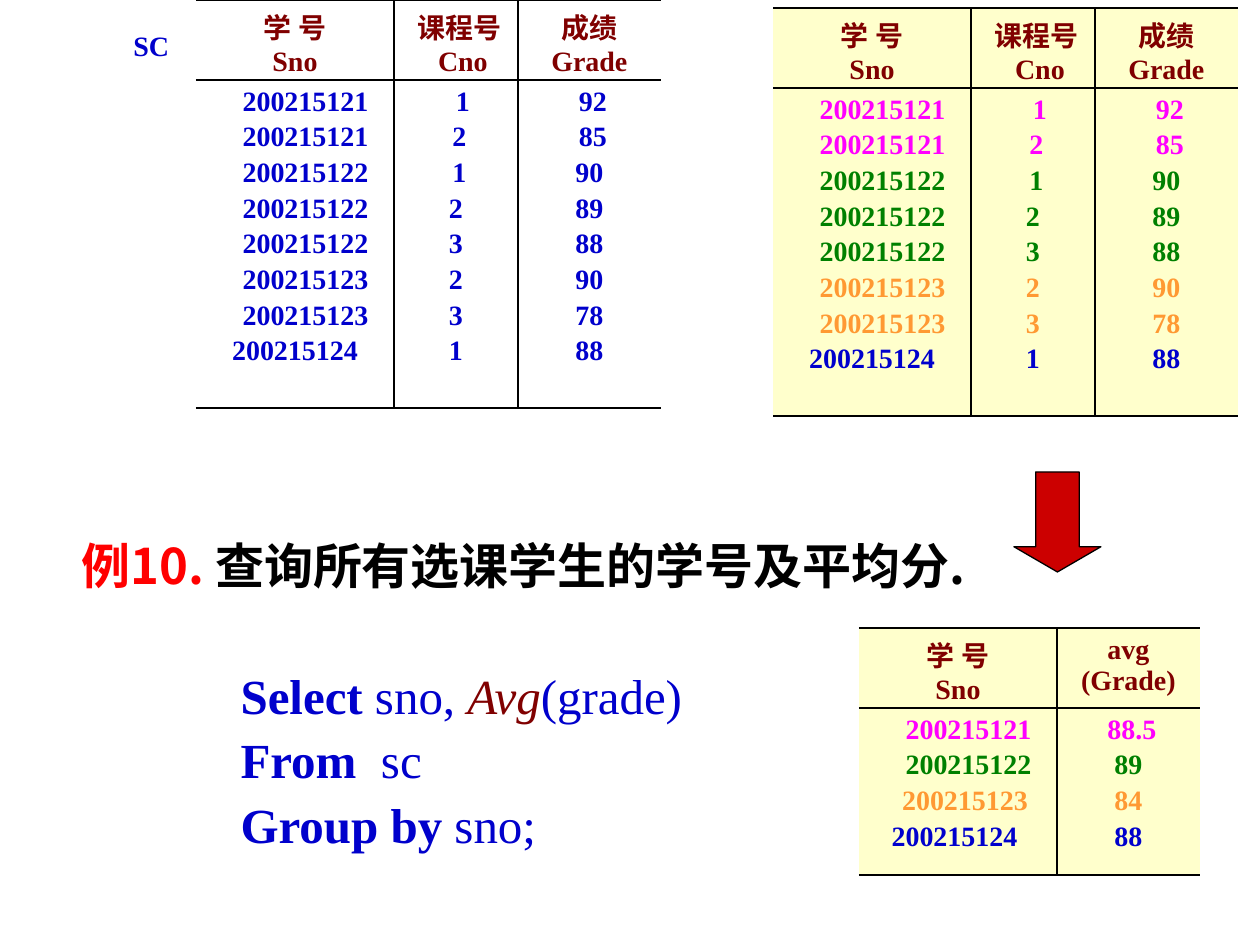
from dataclasses import dataclass

from lxml import etree
from pptx import Presentation
from pptx.dml.color import RGBColor
from pptx.enum.shapes import MSO_SHAPE
from pptx.enum.text import MSO_ANCHOR, MSO_AUTO_SIZE, PP_ALIGN
from pptx.oxml.ns import qn
from pptx.util import Emu, Pt

PX = 7257.6  # EMU per px, 126 px to the inch


@dataclass(frozen=True)
class Theme:
    latin: str = "Times New Roman"
    cjk: str = "Noto Sans CJK JP"
    heading_size: int = 28
    table_size: int = 16
    line_pitch: int = 37
    row_gap: float = 2.6
    black: str = "000000"
    red: str = "FF0000"
    blue: str = "0000CC"
    maroon: str = "800000"
    magenta: str = "FF00FF"
    green: str = "008000"
    orange: str = "FF9933"
    cream: str = "FFFFCC"
    arrow: str = "CC0000"


THEME = Theme()

# Text, colour, bold, italic
HEADING = [[("例10. ", THEME.red, True, False),
            ("查询所有选课学生的学号及平均分.", THEME.black, True, False)]]
QUERY = [
    [("Select", THEME.blue, True, False), (" sno, ", THEME.blue, False, False),
     ("Avg", THEME.maroon, False, True), ("(grade)", THEME.blue, False, False)],
    [("From", THEME.blue, True, False), ("  sc", THEME.blue, False, False)],
    [("Group by", THEME.blue, True, False), (" sno;", THEME.blue, False, False)],
]

# Each column: width, header lines, values, and their steps off centre
SNO_HEADER = [("学 号", 0), ("Sno", 0)]
SC_COLUMNS = [
    (198, SNO_HEADER,
     [("200215121", 3), ("200215121", 3), ("200215122", 3), ("200215122", 3),
      ("200215122", 3), ("200215123", 3), ("200215123", 3), ("200215124", 0)]),
    (124, [("课程号", 1), ("Cno", 2)],
     [("1", 2), ("2", 1), ("1", 1), ("2", 0), ("3", 0), ("2", 0), ("3", 0), ("1", 0)]),
    (143, [("成绩", 0), ("Grade", 0)],
     [("92", 1), ("85", 1), ("90", 0), ("89", 0), ("88", 0), ("90", 0), ("78", 0), ("88", 0)]),
]
AVERAGE_COLUMNS = [
    (198, SNO_HEADER,
     [("200215121", 3), ("200215122", 3), ("200215123", 2), ("200215124", -1)]),
    (143, [("avg", 0), ("(Grade)", 0)],
     [("88.5", 1), ("89", 0), ("84", 0), ("88", 0)]),
]
STUDENT_COLOURS = [THEME.magenta, THEME.green, THEME.orange, THEME.blue]
GROUP_SIZES = [2, 3, 2, 1]
GROUPED_COLOURS = [colour for colour, size in zip(STUDENT_COLOURS, GROUP_SIZES)
                   for _ in range(size)]

# Left, top, columns, value colours, fill, height of the value row
TABLES = [
    (196, 0, SC_COLUMNS, [THEME.blue] * 8, None, 328),
    (773, 8, SC_COLUMNS, GROUPED_COLOURS, THEME.cream, 328),
    (859, 628, AVERAGE_COLUMNS, STUDENT_COLOURS, THEME.cream, 167),
]
HEADER_HEIGHT = 80
SHIFT_STEP = 7


def px(length):
    return Emu(round(length * PX))


def place(part, left, top, width, height):
    part.left, part.top, part.width, part.height = map(px, (left, top, width, height))


def style(run, size, colour, bold=True, italic=False, latin=THEME.latin):
    font = run.font
    font.size, font.bold, font.italic, font.name = Pt(size), bold, italic, latin
    font.color.rgb = RGBColor.from_string(colour)
    east_asian = etree.Element(qn("a:ea"), typeface=THEME.cjk)
    run._r.rPr.find(qn("a:latin")).addnext(east_asian)


def write_lines(placeholder, lines, latin):
    frame = placeholder.text_frame
    frame.word_wrap, frame.auto_size = True, MSO_AUTO_SIZE.NONE
    frame.vertical_anchor = MSO_ANCHOR.TOP
    frame.text = "\n".join("".join(part[0] for part in line) for line in lines)
    for paragraph, line in zip(frame.paragraphs, lines):
        paragraph.text = ""
        paragraph.alignment = PP_ALIGN.LEFT
        paragraph.line_spacing = Pt(THEME.line_pitch)
        paragraph.space_before = Pt(0)
        properties = paragraph._p.get_or_add_pPr()
        properties.set("marL", "0")
        properties.set("indent", "0")
        etree.SubElement(properties, qn("a:buNone"))
        for text, colour, bold, italic in line:
            run = paragraph.add_run()
            run.text = text
            style(run, THEME.heading_size, colour, bold, italic, latin)


def set_borders(cell, first, last):
    """Rule every side except the table's outer left and right."""
    properties = cell._tc.get_or_add_tcPr()
    sides = [("a:lnL", not first), ("a:lnR", not last), ("a:lnT", True), ("a:lnB", True)]
    for position, (side, ruled) in enumerate(sides):
        border = etree.Element(qn(side), w=str(Pt(1)))
        properties.insert(position, border)
        if ruled:
            fill = etree.SubElement(border, qn("a:solidFill"))
            etree.SubElement(fill, qn("a:srgbClr"), val=THEME.black)
        else:
            etree.SubElement(border, qn("a:noFill"))


def fill_cell(cell, entries, colours, gap):
    frame = cell.text_frame
    frame.text = "\n".join(text for text, _ in entries)
    for paragraph, (_, shift), colour in zip(frame.paragraphs, entries, colours):
        paragraph.alignment = PP_ALIGN.CENTER
        paragraph.space_before = Pt(gap)
        if shift:
            margin = "marL" if shift > 0 else "marR"
            paragraph._p.get_or_add_pPr().set(margin, str(px(abs(shift) * SHIFT_STEP)))
        style(paragraph.runs[0], THEME.table_size, colour)


def add_grade_table(slide, left, top, columns, colours, fill, body_height):
    width = sum(column[0] for column in columns)
    table = slide.shapes.add_table(2, len(columns), px(left), px(top), px(width),
                                   px(HEADER_HEIGHT + body_height)).table
    table.first_row = table.horz_banding = False
    table.rows[0].height, table.rows[1].height = px(HEADER_HEIGHT), px(body_height)
    for index, (column_width, header, values) in enumerate(columns):
        table.columns[index].width = px(column_width)
        header_cell, value_cell = table.cell(0, index), table.cell(1, index)
        header_cell.margin_bottom = 0
        fill_cell(header_cell, header, [THEME.maroon] * 2, 0)
        fill_cell(value_cell, values, colours, THEME.row_gap)
        for cell in (header_cell, value_cell):
            if fill:
                cell.fill.solid()
                cell.fill.fore_color.rgb = RGBColor.from_string(fill)
            else:
                cell.fill.background()
            set_borders(cell, index == 0, index == len(columns) - 1)


def main():
    deck = Presentation()
    deck.slide_width, deck.slide_height = px(1260), px(945)
    slide = deck.slides.add_slide(deck.slide_layouts[1])

    heading, query = slide.shapes.title, slide.placeholders[1]
    place(heading, 69, 523, 960, 80)
    write_lines(heading, HEADING, THEME.cjk)
    place(query, 228, 653, 600, 235)
    write_lines(query, QUERY, THEME.latin)

    relation = slide.shapes.add_textbox(px(121), px(19), px(81), px(43)).text_frame
    relation.word_wrap = True
    relation.text = "SC"
    relation.paragraphs[0].line_spacing = 1.1
    style(relation.paragraphs[0].runs[0], THEME.table_size, THEME.blue)

    for table in TABLES:
        add_grade_table(slide, *table)

    arrow = slide.shapes.add_shape(MSO_SHAPE.DOWN_ARROW, px(1014), px(472), px(87), px(100))
    arrow.adjustments[0], arrow.adjustments[1] = 0.5, 0.29
    arrow.shadow.inherit = False
    arrow.fill.solid()
    arrow.fill.fore_color.rgb = RGBColor.from_string(THEME.arrow)
    arrow.line.color.rgb = RGBColor.from_string(THEME.black)
    arrow.line.width = Pt(0.75)

    deck.save("out.pptx")


if __name__ == "__main__":
    main()
